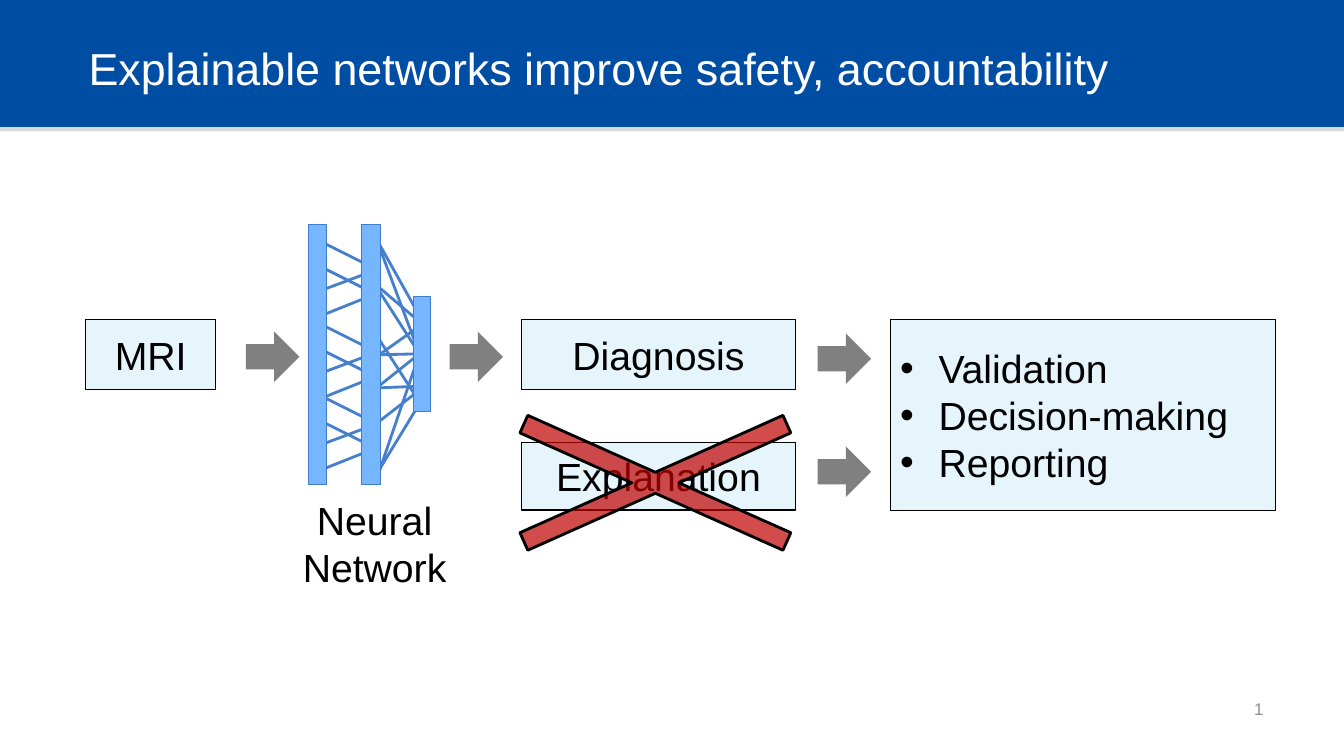
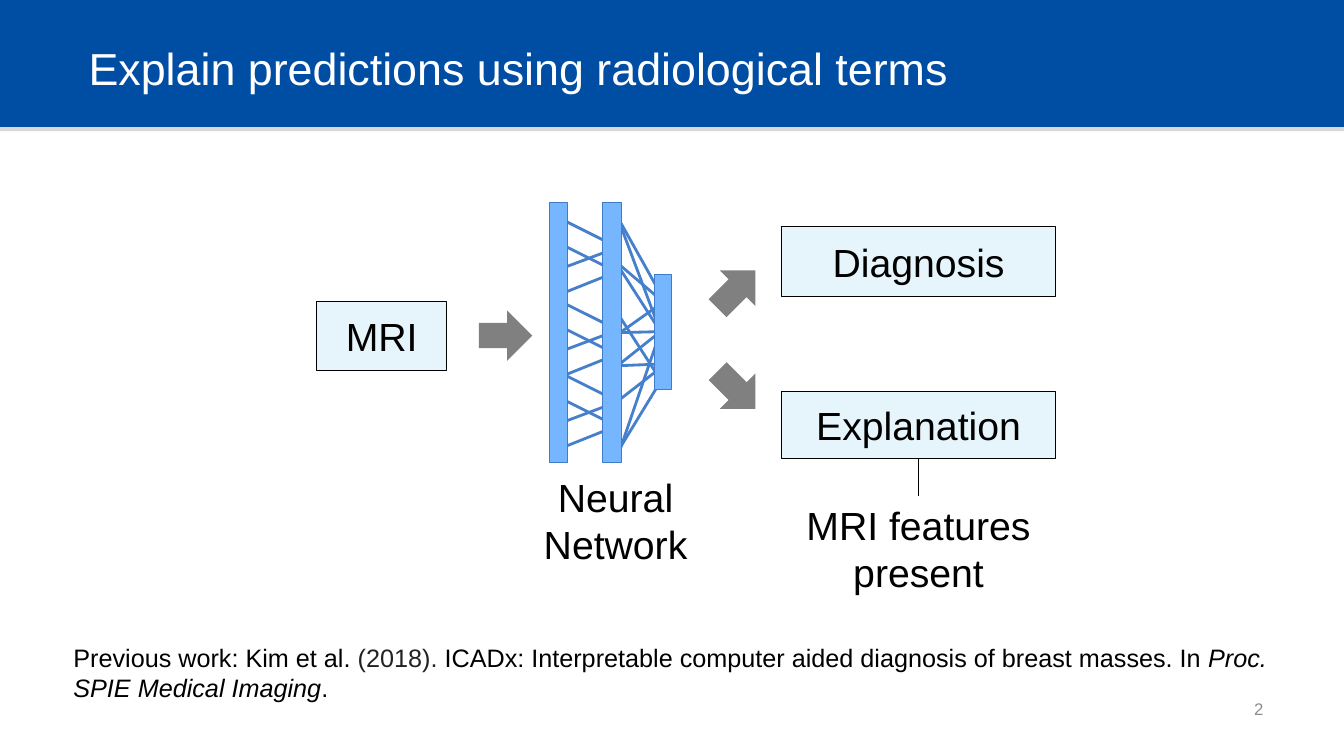
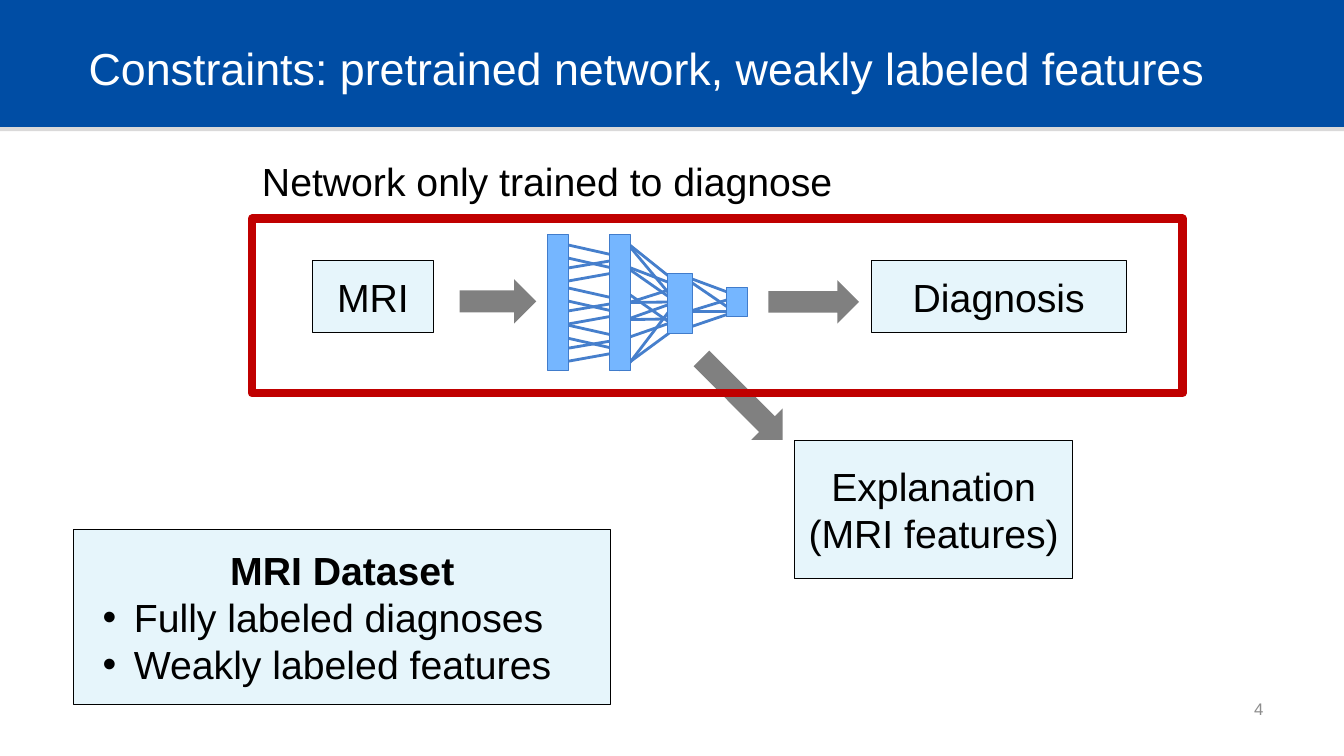
from dataclasses import dataclass

from lxml.etree import SubElement
from pptx import Presentation
from pptx.dml.color import RGBColor
from pptx.enum.shapes import MSO_CONNECTOR, MSO_SHAPE
from pptx.enum.text import MSO_ANCHOR, PP_ALIGN
from pptx.oxml.ns import qn
from pptx.shapes.autoshape import Shape
from pptx.slide import Slide
from pptx.text.text import TextFrame
from pptx.util import Inches, Pt

FONT = "Arial"
BLACK = RGBColor(0x00, 0x00, 0x00)
WHITE = RGBColor(0xFF, 0xFF, 0xFF)
NAVY = RGBColor(0x00, 0x4D, 0xA4)
RULE = RGBColor(0xDA, 0xD9, 0xD9)
PALE = RGBColor(0xE6, 0xF5, 0xFB)
GRAY = RGBColor(0x80, 0x80, 0x80)
PAGE = RGBColor(0x8C, 0x8C, 0x8C)
INK = RGBColor(0x22, 0x22, 0x22)
RED = RGBColor(0xC0, 0x00, 0x00)
SKY = RGBColor(0x75, 0xB6, 0xFF)
EDGE = RGBColor(0x41, 0x7C, 0xCB)
LINK = RGBColor(0x46, 0x7F, 0xCC)


@dataclass(frozen=True)
class Rect:
    left: float
    top: float
    width: float
    height: float


@dataclass(frozen=True)
class Para:
    text: str
    align: PP_ALIGN = PP_ALIGN.CENTER
    size: float = 28
    color: RGBColor = BLACK
    bold: bool = False
    margin: float = 0  # bullet text indent
    hang: float = 0    # bullet hanging distance


@dataclass(frozen=True)
class Link:
    x1: float
    y1: float
    x2: float
    y2: float


# Network parts, measured from the top left of the first layer
BARS = (Rect(0, 0, 0.18, 2.58), Rect(0.53, 0, 0.18, 2.58),
        Rect(1.04, 0.71, 0.17, 1.14))
DEEP = BARS[:2] + (Rect(1.03, 0.73, 0.21, 1.15), Rect(1.53, 1.01, 0.18, 0.55))
FAN = (
    Link(0.61, 1.67, 1.10, 1.28), Link(0.69, 0.17, 1.11, 0.92),
    Link(0.64, 1.62, 1.14, 1.60), Link(0.61, 2.58, 1.11, 1.76),
    Link(0.71, 0.63, 1.11, 0.97), Link(0.70, 1.29, 1.11, 1.00),
    Link(0.67, 0.61, 1.10, 1.28), Link(0.67, 1.09, 1.16, 1.85),
    Link(0.70, 1.29, 1.10, 1.28), Link(0.65, 1.99, 1.14, 1.61),
    Link(0.70, 2.45, 1.10, 1.28), Link(0.71, 0.24, 1.10, 1.28),
)
MESH = tuple(Link(0.13, top + start, 0.53, top + end)
             for top in (0.17, 0.99, 1.70)
             for start, end in ((0, 0.20), (0.48, 0.33), (0.25, 0.45), (0.73, 0.57)))
TAIL = (
    Link(1.10, 1.85, 1.60, 1.47), Link(1.21, 0.82, 1.61, 1.15),
    Link(1.20, 1.47, 1.61, 1.19), Link(1.16, 0.80, 1.60, 1.47),
    Link(1.20, 1.47, 1.60, 1.47),
)


# Drawing helpers
def write(frame: TextFrame, paras: tuple[Para, ...], anchor: MSO_ANCHOR) -> None:
    frame.word_wrap = True
    frame.vertical_anchor = anchor
    for i, item in enumerate(paras):
        para = frame.paragraphs[0] if i == 0 else frame.add_paragraph()
        para.text = item.text
        para.alignment = item.align
        if item.hang:
            props = para._p.get_or_add_pPr()
            props.set("marL", str(Inches(item.margin)))
            props.set("indent", str(-Inches(item.hang)))
            SubElement(props, qn("a:buFont"), typeface=FONT)
            SubElement(props, qn("a:buChar"), char="•")
        font = para.font
        font.name, font.size, font.bold = FONT, Pt(item.size), item.bold
        font.color.rgb = item.color


def label(slide: Slide, at: Rect, *paras: Para,
          anchor: MSO_ANCHOR = MSO_ANCHOR.TOP) -> TextFrame:
    box = slide.shapes.add_textbox(Inches(at.left), Inches(at.top),
                                   Inches(at.width), Inches(at.height))
    write(box.text_frame, paras, anchor)
    return box.text_frame


def block(slide: Slide, at: Rect, fill: RGBColor | None, line: RGBColor | None = None,
          weight: float = 0.75, kind: MSO_SHAPE = MSO_SHAPE.RECTANGLE) -> Shape:
    shape = slide.shapes.add_shape(kind, Inches(at.left), Inches(at.top),
                                   Inches(at.width), Inches(at.height))
    shape.shadow.inherit = False
    if fill is None:
        shape.fill.background()
    else:
        shape.fill.solid()
        shape.fill.fore_color.rgb = fill
    if line is None:
        shape.line.fill.background()
    else:
        shape.line.color.rgb = line
        shape.line.width = Pt(weight)
    return shape


def card(slide: Slide, at: Rect, *paras: Para) -> None:
    write(block(slide, at, PALE, BLACK).text_frame, paras, MSO_ANCHOR.MIDDLE)


def arrow(slide: Slide, left: float, top: float, width: float = 0.53,
          height: float = 0.5, turn: float = 0) -> None:
    shape = block(slide, Rect(left, top, width, height), GRAY, kind=MSO_SHAPE.RIGHT_ARROW)
    shape.rotation = turn


def stroke(slide: Slide, link: Link, color: RGBColor, weight: float) -> None:
    line = slide.shapes.add_connector(MSO_CONNECTOR.STRAIGHT, Inches(link.x1),
                                      Inches(link.y1), Inches(link.x2), Inches(link.y2))
    line.line.color.rgb = color
    line.line.width = Pt(weight)
    SubElement(line._element.spPr, qn("a:effectLst"))


def net(slide: Slide, left: float, top: float, wide: float = 1, tall: float = 1,
        bars: tuple[Rect, ...] = BARS, links: tuple[Link, ...] = FAN + MESH) -> None:
    for link in links:
        stroke(slide, Link(left + link.x1 * wide, top + link.y1 * tall,
                           left + link.x2 * wide, top + link.y2 * tall), LINK, 2)
    for bar in bars:
        block(slide, Rect(left + bar.left * wide, top + bar.top * tall,
                          bar.width * wide, bar.height * tall), SKY, EDGE)


def caption(slide: Slide, left: float, top: float) -> None:
    label(slide, Rect(left, top, 2.43, 0.68), Para("Neural"), Para("Network"))


def start(deck: Presentation, title: str, page: int) -> Slide:
    slide = deck.slides.add_slide(deck.slide_layouts[6])
    block(slide, Rect(0, 1.05, 13.33, 0.25), RULE)
    block(slide, Rect(0, -0.01, 13.33, 1.27), NAVY)
    label(slide, Rect(0.78, 0.17, 11.86, 1),
          Para(title, PP_ALIGN.LEFT, 32, WHITE), anchor=MSO_ANCHOR.MIDDLE)
    label(slide, Rect(9.63, 6.83, 3, 0.4),
          Para(str(page), PP_ALIGN.RIGHT, 12, PAGE), anchor=MSO_ANCHOR.MIDDLE)
    return slide


# Slides
def safety(deck: Presentation) -> None:
    slide = start(deck, "Explainable networks improve safety, accountability", 1)
    card(slide, Rect(0.85, 3.17, 1.29, 0.69), Para("MRI"))
    net(slide, 3.06, 2.23)
    caption(slide, 2.5, 4.87)
    for left, top in ((2.44, 3.29), (4.46, 3.29), (8.11, 3.31), (8.11, 4.43)):
        arrow(slide, left, top)
    card(slide, Rect(8.83, 3.17, 3.82, 1.89),
         *(Para(text, PP_ALIGN.LEFT, margin=0.38, hang=0.38)
           for text in ("Validation", "Decision-making", "Reporting")))
    card(slide, Rect(5.17, 3.17, 2.72, 0.69), Para("Diagnosis"))
    card(slide, Rect(5.17, 4.39, 2.72, 0.67), Para("Explanation"))

    # Translucent cross over the explanation
    cross = block(slide, Rect(3.99, 3.67, 5.02, 2.24), RED, BLACK, 2,
                  MSO_SHAPE.MATH_MULTIPLY)
    cross.adjustments[0] = 0.085
    tint = cross._element.spPr.find(qn("a:solidFill")).find(qn("a:srgbClr"))
    SubElement(tint, qn("a:alpha"), val="70000")


def terms(deck: Presentation) -> None:
    slide = start(deck, "Explain predictions using radiological terms", 2)
    card(slide, Rect(3.14, 2.99, 1.29, 0.69), Para("MRI"))
    arrow(slide, 4.75, 3.08)
    net(slide, 5.45, 2.01)
    caption(slide, 4.89, 4.65)
    arrow(slide, 7.04, 2.62, turn=315)
    arrow(slide, 7.04, 3.62, turn=45)
    card(slide, Rect(7.75, 2.25, 2.72, 0.69), Para("Diagnosis"))
    card(slide, Rect(7.75, 3.88, 2.72, 0.67), Para("Explanation"))
    stroke(slide, Link(9.11, 4.92, 9.11, 4.55), BLACK, 0.75)
    label(slide, Rect(7.75, 4.92, 2.72, 1.15), Para("MRI features present"))

    # Citation
    frame = label(slide, Rect(0.63, 6.32, 12.16, 0.78),
                  Para("Previous work: Kim et al.", PP_ALIGN.LEFT, 18))
    for text, color, slant in (
        (" (2018). ", INK, False),
        ("ICADx: Interpretable computer aided diagnosis of breast masses. In", BLACK, False),
        (" Proc. SPIE Medical Imaging", BLACK, True),
        (".", BLACK, False),
    ):
        run = frame.paragraphs[0].add_run()
        run.text = text
        run.font.color.rgb = color
        run.font.italic = slant


def limits(deck: Presentation) -> None:
    slide = start(deck, "Constraints: pretrained network, weakly labeled features", 4)
    label(slide, Rect(2.5, 1.51, 6.32, 0.52),
          Para("Network only trained to diagnose", PP_ALIGN.LEFT))
    card(slide, Rect(3.1, 2.58, 1.2, 0.72), Para("MRI"))
    arrow(slide, 4.56, 2.77, 0.76, 0.44)
    net(slide, 5.43, 2.33, 1.16, 0.52, DEEP, TAIL + FAN + MESH)
    arrow(slide, 7.62, 2.78, 0.9, 0.43)
    card(slide, Rect(8.64, 2.58, 2.53, 0.72), Para("Diagnosis"))
    arrow(slide, 6.79, 3.74, 1.14, 0.44, 45)
    card(slide, Rect(7.88, 4.37, 2.76, 1.37), Para("Explanation (MRI features)"))
    card(slide, Rect(0.73, 5.25, 5.33, 1.74), Para("MRI Dataset", bold=True),
         *(Para(text, PP_ALIGN.LEFT, margin=0.5, hang=0.31)
           for text in ("Fully labeled diagnoses", "Weakly labeled features")))
    block(slide, Rect(2.5, 2.17, 9.23, 1.73), None, RED, 6)


def main() -> None:
    deck = Presentation()
    deck.slide_width, deck.slide_height = Inches(13.33), Inches(7.5)
    safety(deck)
    terms(deck)
    limits(deck)
    deck.save("out.pptx")


if __name__ == "__main__":
    main()
